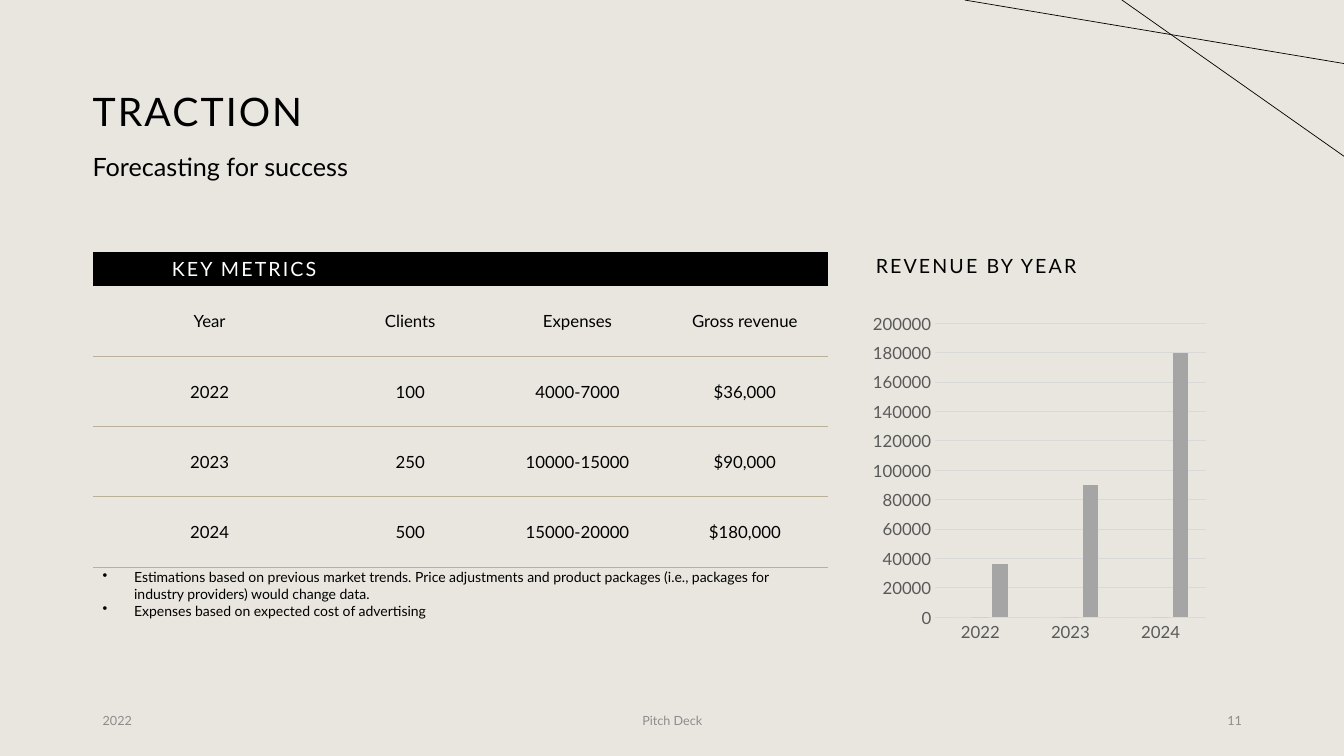
import lxml.etree
import pptx
import pptx.chart.data
import pptx.dml.color
import pptx.enum.chart
import pptx.enum.shapes
import pptx.enum.text
import pptx.oxml.ns
import pptx.util

Pt = pptx.util.Pt
qn = pptx.oxml.ns.qn
ALIGN = pptx.enum.text.PP_ALIGN
ANCHOR = pptx.enum.text.MSO_ANCHOR

COLORS = {
    "paper": "E9E6DF", "ink": "000000", "white": "FFFFFF", "rule": "BBB19B",
    "footer": "8C8C8C", "axis": "595959", "grid": "D9D9D9",
    "orange": "ED7D31", "gray": "A5A5A5",
}
FONT = "Lato"
NO_STYLE_TABLE = "{2D5ABB26-0587-4C30-8999-92F81FD0307C}"
LEFT = 66.24
TABLE_WIDTH = 525.6
CHART_LEFT, CHART_WIDTH = 618.48, 247.68


def color(name):
    return pptx.dml.color.RGBColor.from_string(COLORS[name])


class SlideBuilder:
    def __init__(self, deck):
        self.slide = deck.slides.add_slide(deck.slide_layouts[5])
        self.shapes = self.slide.shapes
        fill = self.slide.background.fill
        fill.solid()
        fill.fore_color.rgb = color("paper")

    def style_font(self, font, size, name="ink"):
        font.name = FONT
        font.size = Pt(size)
        font.color.rgb = color(name)

    def set_text(self, para, text, size, name="ink", align=ALIGN.LEFT, tracking=0):
        """Fill a paragraph; tracking is the letter spacing in points."""
        span = para.add_run()
        span.text = text
        para.alignment = align
        self.style_font(para.font, size, name)
        if tracking:
            span._r.get_or_add_rPr().set("spc", str(round(tracking * 100)))

    def title(self, text, left, top, width, height):
        box = self.shapes.title
        box.left, box.top, box.width, box.height = map(Pt, (left, top, width, height))
        frame = box.text_frame
        frame.margin_left = 0
        frame.vertical_anchor = ANCHOR.MIDDLE
        para = frame.paragraphs[0]
        para.line_spacing = 0.9
        self.set_text(para, text, 28, tracking=1.5)

    def text_frame(self, left, top, width, height, anchor=ANCHOR.TOP):
        box = self.shapes.add_textbox(*map(Pt, (left, top, width, height)))
        box.text_frame.word_wrap = True
        box.text_frame.vertical_anchor = anchor
        return box.text_frame

    def heading(self, text, area, size, tracking=0):
        para = self.text_frame(*area).paragraphs[0]
        para.line_spacing = 0.9
        para.space_before = Pt(10)
        self.set_text(para, text, size, tracking=tracking)

    def footer(self, text, left, width, align):
        frame = self.text_frame(left, 500.4, width, 28.8, ANCHOR.MIDDLE)
        self.set_text(frame.paragraphs[0], text, 9, "footer", align)

    def bullets(self, texts, area, size, indent):
        frame = self.text_frame(*area)
        frame.auto_size = pptx.enum.text.MSO_AUTO_SIZE.SHAPE_TO_FIT_TEXT
        for index, text in enumerate(texts):
            para = frame.add_paragraph() if index else frame.paragraphs[0]
            self.set_text(para, text, size)
            props = para._p.get_or_add_pPr()
            props.set("marL", str(Pt(indent)))
            props.set("indent", str(-Pt(indent)))
            bullet = lxml.etree.Element(qn("a:buChar"), char="•")
            props.find(qn("a:defRPr")).addprevious(bullet)

    def line(self, start, end):
        line = self.shapes.add_connector(
            pptx.enum.shapes.MSO_CONNECTOR.STRAIGHT, *map(Pt, start + end))
        line.line.color.rgb = color("ink")
        line.line.width = Pt(0.5)
        lxml.etree.SubElement(line._element.spPr, qn("a:effectLst"))

    def bottom_border(self, cell):
        border = lxml.etree.Element(qn("a:lnB"), w=str(Pt(1)))
        fill = lxml.etree.SubElement(border, qn("a:solidFill"))
        lxml.etree.SubElement(fill, qn("a:srgbClr"), val=COLORS["rule"])
        cell._tc.get_or_add_tcPr().insert(0, border)

    def table(self, heading, rows, left, top, widths, heights):
        frame = self.shapes.add_table(
            len(heights), len(widths),
            *map(Pt, (left, top, sum(widths), sum(heights))))
        table = frame.table
        table.first_row = table.horz_banding = False
        table._tbl.tblPr.find(qn("a:tableStyleId")).text = NO_STYLE_TABLE
        for column, width in zip(table.columns, widths):
            column.width = Pt(width)
        for row, height in zip(table.rows, heights):
            row.height = Pt(height)
        for cell in table.rows[0].cells:
            cell.fill.solid()
            cell.fill.fore_color.rgb = color("ink")
            self.style_font(cell.text_frame.paragraphs[0].font, 14, "white")
        head = table.cell(0, 0)
        head.vertical_anchor = ANCHOR.MIDDLE
        self.set_text(head.text_frame.paragraphs[0], heading, 14, "white",
                      ALIGN.RIGHT, 1.5)
        for row_index, texts in enumerate(rows, 1):
            for column_index, text in enumerate(texts):
                cell = table.cell(row_index, column_index)
                cell.vertical_anchor = ANCHOR.MIDDLE
                cell.fill.background()
                self.bottom_border(cell)
                self.set_text(cell.text_frame.paragraphs[0], text, 12,
                              align=ALIGN.CENTER)

    def column_chart(self, categories, series, area):
        """Draw clustered columns; series holds (name, values, colour name)."""
        data = pptx.chart.data.CategoryChartData()
        data.categories = categories
        for name, values, _ in series:
            data.add_series(name, values)
        chart = self.shapes.add_chart(
            pptx.enum.chart.XL_CHART_TYPE.COLUMN_CLUSTERED,
            *map(Pt, area), data).chart
        chart.has_title = chart.has_legend = False
        self.style_font(chart.font, 10)
        plot = chart.plots[0]
        plot.gap_width, plot.overlap = 219, -27
        plot.vary_by_categories = False
        for drawn, (_, _, name) in zip(plot.series, series):
            drawn.format.fill.solid()
            drawn.format.fill.fore_color.rgb = color(name)
        for axis in (chart.category_axis, chart.value_axis):
            axis.major_tick_mark = pptx.enum.chart.XL_TICK_MARK.NONE
            axis.minor_tick_mark = pptx.enum.chart.XL_TICK_MARK.NONE
            self.style_font(axis.tick_labels.font, 12, "axis")
        values_axis = chart.value_axis
        values_axis.minimum_scale, values_axis.maximum_scale = 0, 200000
        values_axis.major_unit = 20000
        values_axis.format.line.fill.background()
        for part in (chart.category_axis, values_axis.major_gridlines):
            part.format.line.color.rgb = color("grid")
            part.format.line.width = Pt(0.75)


def main():
    deck = pptx.Presentation()
    deck.slide_width, deck.slide_height = Pt(960), Pt(540)
    page = SlideBuilder(deck)
    page.title("TRACTION", LEFT, 28.8, 828, 104.4)
    page.heading("Forecasting for success", (59.04, 107.28, 532.8, 38.88), 18)
    page.table(
        "KEY METRICS",
        [("Year", "Clients", "Expenses", "Gross revenue"),
         ("2022", "100", "4000-7000", "$36,000"),
         ("2023", "250", "10000-15000", "$90,000"),
         ("2024", "500", "15000-20000", "$180,000")],
        LEFT, 180, [167.04] + [119.52] * 3, [24.4] + [50.2] * 4)
    page.heading("REVENUE BY YEAR", (CHART_LEFT, 180, CHART_WIDTH, 24.48), 14, 1.5)
    page.footer("2022", LEFT, 216, ALIGN.LEFT)
    page.footer("Pitch Deck", 318.24, 324, ALIGN.CENTER)
    page.footer("11", 678.24, 216, ALIGN.RIGHT)
    page.line((801.4, 0), (960, 111.6))
    page.line((689, 0), (960, 45.4))
    page.column_chart(
        ["2022", "2023", "2024"],
        [("Series 1", (0, 0, 0), "paper"),
         ("Series 2", (0, 0, 0), "orange"),
         ("Series 3", (36000, 90000, 180000), "gray")],
        (CHART_LEFT, 218.88, CHART_WIDTH, 244.08))
    page.bullets(
        ["Estimations based on previous market trends. Price adjustments and "
         "product packages (i.e., packages for industry providers) would change data.",
         "Expenses based on expected cost of advertising"],
        (LEFT, 402.48, TABLE_WIDTH, 43.92), 10, 22.5)
    deck.save("out.pptx")


if __name__ == "__main__":
    main()
